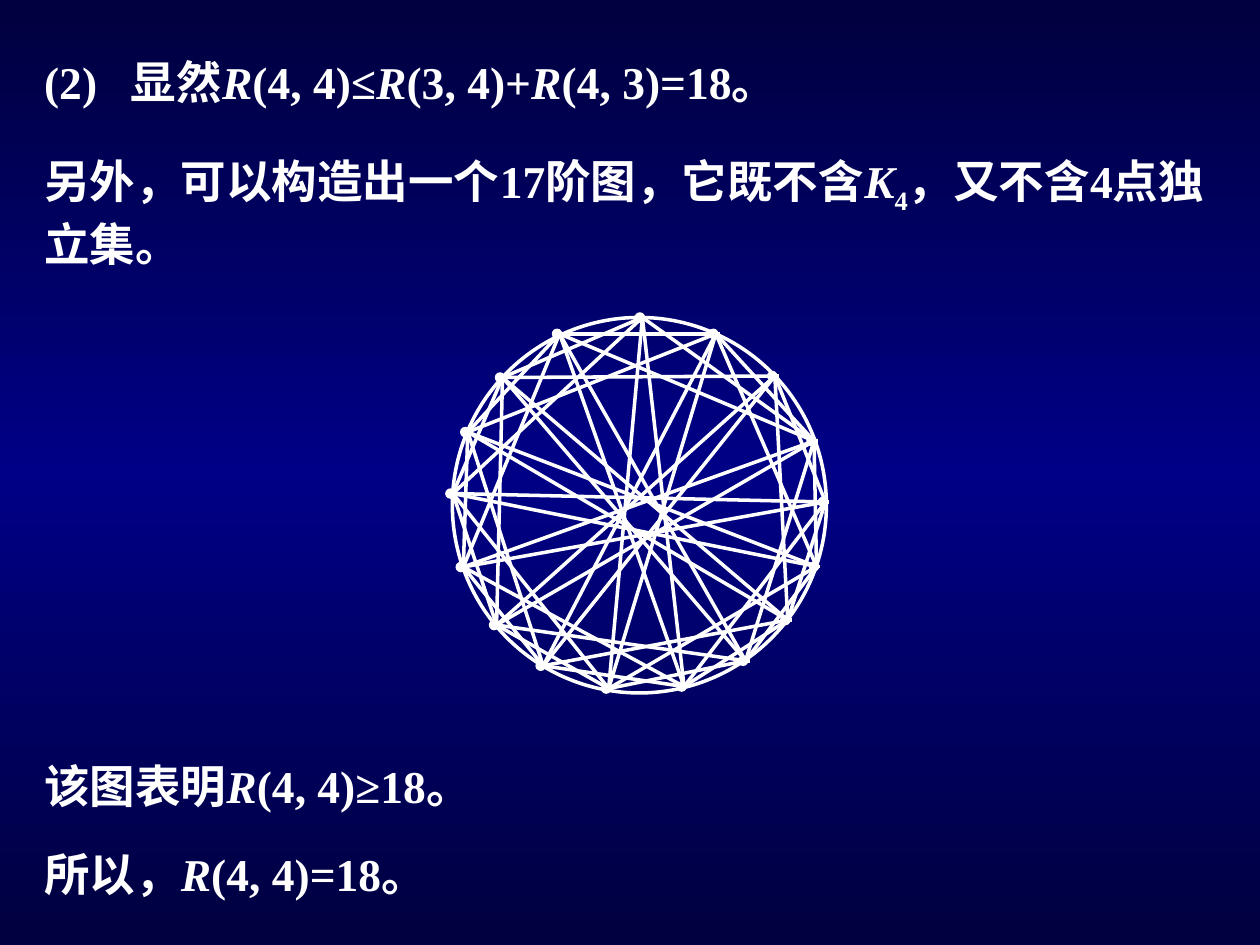
from copy import deepcopy

from lxml.etree import SubElement
from pptx import Presentation
from pptx.dml.color import RGBColor
from pptx.enum.shapes import MSO_CONNECTOR, MSO_SHAPE
from pptx.enum.text import MSO_AUTO_SIZE
from pptx.oxml.ns import qn
from pptx.util import Cm, Pt

WHITE = "FFFFFF"
FONT = "Times New Roman"

# Vertices of the 17-vertex graph in cm, clockwise from the top
NODES = [
    (12.95, 6.4), (14.43, 6.73), (15.62, 7.58), (16.41, 8.89), (16.64, 10.12),
    (16.46, 11.42), (15.88, 12.5), (15.03, 13.32), (13.79, 13.84),
    (12.27, 13.88), (10.95, 13.42), (10.01, 12.6), (9.34, 11.43),
    (9.13, 9.95), (9.43, 8.71), (10.13, 7.61), (11.28, 6.73),
]

# Top, width and height in cm, line spacing, runs
TEXTS = [
    (0.97, 21.8, 1.37, None,
     ["(2)\t显然", "R", "(4, 4)≤", "R", "(3, 4)+", "R", "(4, 3)=18。"]),
    (2.97, 24.13, 2.62, None,
     ["另外，可以构造出一个17阶图，它既不含", "K", "4", "，又不含4点独立集。"]),
    (14.94, 21.8, 1.57, 1.2, ["该图表明", "R", "(4, 4)≥18。"]),
    (16.94, 21.8, 1.37, None, ["所以，", "R", "(4, 4)=18。"]),
]


def color(code):
    return RGBColor.from_string(code)


def paint_back(slide):
    """Fill the background dark, bright, dark from top to bottom."""
    fill = slide.background.fill
    fill.gradient()
    fill.gradient_angle = 90
    stops = slide.element.find(".//" + qn("a:gsLst"))
    stops.append(deepcopy(stops[0]))
    shades = [(0, "00003E"), (0.5, "000086"), (1, "00003E")]
    for stop, (place, code) in zip(fill.gradient_stops, shades):
        stop.position = place
        stop.color.rgb = color(code)


def add_text(slide, top, width, height, spacing, parts):
    """Write one paragraph: R and K are italic, a lone 4 is a subscript."""
    box = slide.shapes.add_textbox(Cm(0.64), Cm(top), Cm(width), Cm(height))
    frame = box.text_frame
    frame.word_wrap = True
    frame.auto_size = MSO_AUTO_SIZE.SHAPE_TO_FIT_TEXT
    para = frame.paragraphs[0]
    if spacing:
        para.line_spacing = spacing
    if "\t" in parts[0]:
        tabs = SubElement(para._p.get_or_add_pPr(), qn("a:tabLst"))
        SubElement(tabs, qn("a:tab"), pos=str(Cm(1.75)), algn="l")
    for part in parts:
        run = para.add_run()
        run.text = part
        font = run.font
        font.name, font.size, font.bold = FONT, Pt(26), True
        font.color.rgb = color(WHITE)
        font.italic = part in ("R", "K")
        if part == "4":
            run._r.get_or_add_rPr().set("baseline", "-25000")


def style_line(line):
    line.color.rgb = color(WHITE)
    line.width = Pt(2)


def add_line(group, start, end):
    ends = [Cm(value) for value in (*start, *end)]
    link = group.shapes.add_connector(MSO_CONNECTOR.STRAIGHT, *ends)
    style_line(link.line)
    SubElement(link._element.spPr, qn("a:effectLst"))
    return link


def add_dot(group, node):
    """Mark a vertex with a short line that starts in an oval."""
    x, y = node
    dot = add_line(group, (x - 0.05, y), (x + 0.08, y))
    SubElement(dot.line._get_or_add_ln(), qn("a:headEnd"), type="oval")


def add_graph(slide):
    group = slide.shapes.add_group_shape()
    ring = group.shapes.add_shape(
        MSO_SHAPE.OVAL, Cm(9.12), Cm(6.4), Cm(7.54), Cm(7.57))
    ring.shadow.inherit = False
    ring.fill.background()
    style_line(ring.line)
    for node in NODES:
        add_dot(group, node)
    count = len(NODES)
    chords = [(i, (i + step) % count)
              for step in (2, 4, 8) for i in range(1, count)]
    # The top vertex has its own pair of chords
    for a, b in chords + [(0, 3), (0, 8)]:
        add_line(group, NODES[a], NODES[b])


def main():
    deck = Presentation()
    deck.slide_width, deck.slide_height = Cm(25.4), Cm(19.05)
    slide = deck.slides.add_slide(deck.slide_layouts[6])
    paint_back(slide)
    add_graph(slide)
    for text in TEXTS:
        add_text(slide, *text)
    deck.save("out.pptx")


if __name__ == "__main__":
    main()
